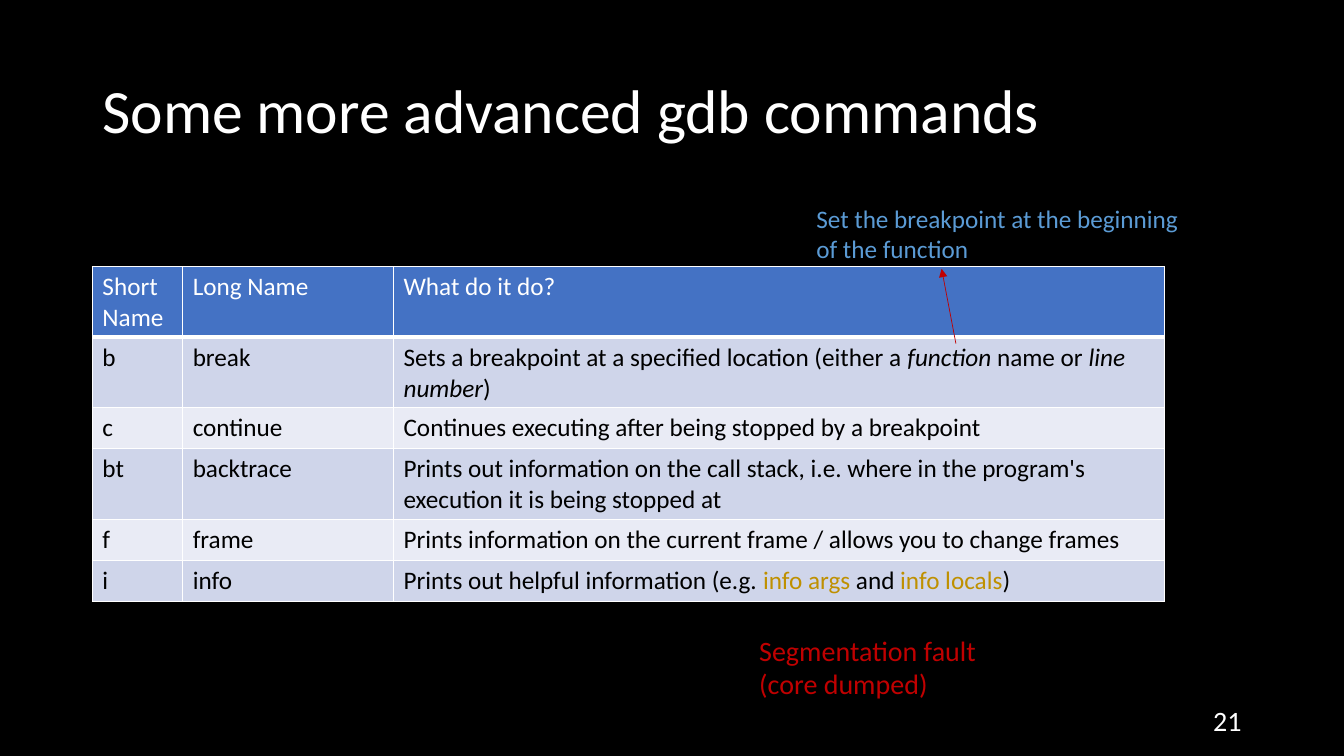
import pptx
import pptx.dml.color
import pptx.enum.shapes
import pptx.enum.text
import pptx.oxml
import pptx.oxml.ns
import pptx.util

COLORS = {
    "black": "000000",
    "white": "FFFFFF",
    "header": "4472C4",
    "band_dark": "CFD5EA",
    "band_light": "E9EBF5",
    "note": "5B9BD5",
    "alert": "C00000",
    "command": "BF9000",
}
FONT = "Calibri"
GRID_COLUMNS, GRID_ROWS = 160, 90

HEADINGS = ["Short Name", "Long Name", "What do it do?"]
# A description is a list of (text, style); the style is "", "italic" or "command".
COMMANDS = [
    ("b", "break", [
        ("Sets a breakpoint at a specified location (either a ", ""),
        ("function", "italic"), (" name or ", ""),
        ("line number", "italic"), (")", "")]),
    ("c", "continue", "Continues executing after being stopped by a breakpoint"),
    ("bt", "backtrace", "Prints out information on the call stack, i.e. where in the "
                        "program's execution it is being stopped at"),
    ("f", "frame", "Prints information on the current frame / allows you to change frames"),
    ("i", "info", [
        ("Prints out helpful information (e.g. ", ""), ("info args ", "command"),
        ("and ", ""), ("info locals", "command"), (")", "")]),
]


def rgb(color):
    return pptx.dml.color.RGBColor.from_string(COLORS[color])


class SlideBuilder:
    """Places elements on one slide, measured in grid columns and rows."""

    def __init__(self, deck):
        self.column = deck.slide_width / GRID_COLUMNS
        self.row = deck.slide_height / GRID_ROWS
        self.slide = deck.slides.add_slide(deck.slide_layouts[6])
        self.slide.background.fill.solid()
        self.slide.background.fill.fore_color.rgb = rgb("black")

    def x(self, columns):
        return pptx.util.Emu(round(columns * self.column))

    def y(self, rows):
        return pptx.util.Emu(round(rows * self.row))

    def box(self, left, top, width, height):
        return self.x(left), self.y(top), self.x(width), self.y(height)

    def fill_text(self, frame, content, size, color):
        """Fill the first paragraph with a string or with (text, style) pieces."""
        paragraph = frame.paragraphs[0]
        font = paragraph.font
        font.name, font.size, font.bold = FONT, pptx.util.Pt(size), False
        pieces = [(content, "")] if isinstance(content, str) else content
        mixed = any(style == "command" for _, style in pieces)
        if not mixed:
            font.color.rgb = rgb(color)
        for text, style in pieces:
            run = paragraph.add_run()
            run.text = text
            if style == "italic":
                run.font.italic = True
            if mixed:
                run.font.color.rgb = rgb(style or color)
        return paragraph

    def text(self, content, area, size, color, middle=False):
        frame = self.slide.shapes.add_textbox(*self.box(*area)).text_frame
        frame.word_wrap = True
        if middle:
            frame.vertical_anchor = pptx.enum.text.MSO_ANCHOR.MIDDLE
        return self.fill_text(frame, content, size, color)

    def border(self, cell, bottom):
        for side in "LRTB":
            line = pptx.oxml.parse_xml(
                f'<a:ln{side} {pptx.oxml.ns.nsdecls("a")} '
                f'w="{pptx.util.Pt(bottom if side == "B" else 1)}"><a:solidFill>'
                f'<a:srgbClr val="{COLORS["white"]}"/></a:solidFill></a:ln{side}>')
            cell._tc.get_or_add_tcPr().append(line)

    def table(self, rows, left, top, widths, row_height):
        area = self.box(left, top, sum(widths), row_height * len(rows))
        table = self.slide.shapes.add_table(len(rows), len(widths), *area).table
        for column, width in zip(table.columns, widths):
            column.width = self.x(width)
        for r, contents in enumerate(rows):
            is_header = r == 0
            band = "header" if is_header else "band_dark" if r % 2 else "band_light"
            for c, content in enumerate(contents):
                cell = table.cell(r, c)
                self.border(cell, bottom=3 if is_header else 1)
                cell.fill.solid()
                cell.fill.fore_color.rgb = rgb(band)
                self.fill_text(cell.text_frame, content, 18,
                               "white" if is_header else "black")

    def arrow(self, start, end, color, width):
        arrow = self.slide.shapes.add_connector(
            pptx.enum.shapes.MSO_CONNECTOR.STRAIGHT,
            self.x(start[0]), self.y(start[1]), self.x(end[0]), self.y(end[1]))
        arrow.line.color.rgb = rgb(color)
        arrow.line.width = pptx.util.Pt(width)
        namespace = pptx.oxml.ns.nsdecls("a")
        arrow.line._get_or_add_ln().append(
            pptx.oxml.parse_xml(f'<a:tailEnd {namespace} type="triangle"/>'))
        arrow._element.spPr.append(pptx.oxml.parse_xml(f"<a:effectLst {namespace}/>"))


def main():
    deck = pptx.Presentation()
    deck.slide_width = pptx.util.Inches(13.33)
    deck.slide_height = pptx.util.Inches(7.5)
    page = SlideBuilder(deck)

    title = page.text("Some more advanced gdb commands", (11, 4.8, 138, 17.4),
                      44, "white", middle=True)
    title.line_spacing = 0.9
    page.table([HEADINGS, *COMMANDS], 11, 31.75, (10.75, 25.1, 91.75), 4.87)
    page.text("Set the breakpoint at the beginning of the function",
              (96, 23.6, 45.8, 8.5), 18, "note")
    page.arrow((113.8, 40.9), (112.1, 32), "alert", 0.5)
    page.text("Segmentation fault (core dumped)", (89.2, 74.8, 34.8, 9.2), 20, "alert")
    number = page.text("21", (113, 83.4, 36, 4.8), 20, "white", middle=True)
    number.alignment = pptx.enum.text.PP_ALIGN.RIGHT
    deck.save("out.pptx")


if __name__ == "__main__":
    main()
